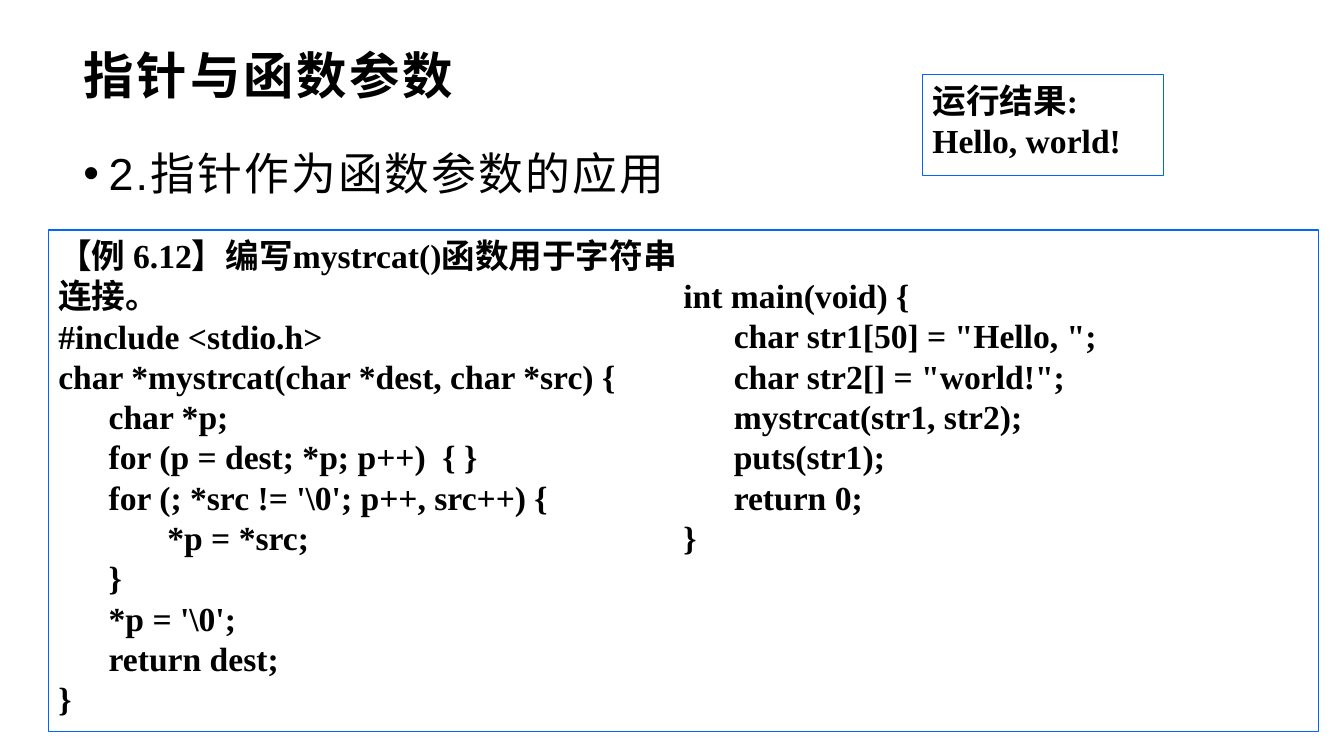
from lxml.etree import SubElement
from pptx import Presentation
from pptx.dml.color import RGBColor
from pptx.enum.shapes import MSO_SHAPE
from pptx.enum.text import MSO_ANCHOR, MSO_AUTO_SIZE, PP_ALIGN
from pptx.oxml.ns import qn
from pptx.util import Inches, Pt

TITLE = "指针与函数参数"
TOPIC = "2.指针作为函数参数的应用"
FUNCTION_CODE = [
    "【例 6.12】编写mystrcat()函数用于字符串连接。",
    "#include <stdio.h>",
    "char *mystrcat(char *dest, char *src) {",
    "      char *p;",
    "      for (p = dest; *p; p++)  { }",
    "      for (; *src != '\\0'; p++, src++) {",
    "             *p = *src;",
    "      }",
    "      *p = '\\0';",
    "      return dest;",
    "}",
]
MAIN_CODE = [
    "int main(void) {",
    '      char str1[50] = "Hello, ";',
    '      char str2[] = "world!";',
    "      mystrcat(str1, str2);",
    "      puts(str1);",
    "      return 0;",
    "}",
]
RESULT = ["运行结果:", "Hello, world!"]

COLORS = {"text": "000000", "frame": "0066FF"}
WIDTH, HEIGHT = 13.33, 7.5
MARGIN, CONTENT_WIDTH = 0.73, 11.87
INSET = 0.1
CODE_LEFT, CODE_TOP, CODE_WIDTH, CODE_HEIGHT = 0.48, 2.28, 12.6, 4.98
COLUMN = (CODE_WIDTH - 2 * INSET) / 2
LINE = 0.4


def style(para, font, size, bold, spacing=0):
    para.alignment = PP_ALIGN.LEFT
    for span in para.runs:
        span.font.name = font
        span.font.size = Pt(size)
        span.font.bold = bold
        span.font.color.rgb = RGBColor.from_string(COLORS["text"])
        if spacing:
            span.font._element.set("spc", str(int(spacing * 100)))


def prepare(box, anchor=MSO_ANCHOR.TOP):
    frame = box.text_frame
    frame.word_wrap = True
    frame.auto_size = MSO_AUTO_SIZE.NONE
    frame.vertical_anchor = anchor
    frame.margin_left = frame.margin_right = Inches(INSET)
    frame.margin_top = frame.margin_bottom = Inches(INSET / 2)
    return frame


def write_code(box, lines):
    frame = prepare(box)
    frame.text = "\n".join(lines)
    for para in frame.paragraphs:
        style(para, "Times New Roman", 24, True)
    return frame


def add_frame(page, left, top, width, height, lines):
    box = page.shapes.add_shape(
        MSO_SHAPE.RECTANGLE, Inches(left), Inches(top), Inches(width), Inches(height))
    box.shadow.inherit = False
    box.fill.background()
    box.line.color.rgb = RGBColor.from_string(COLORS["frame"])
    box.line.width = Pt(1)
    return write_code(box, lines)


def add_title(page):
    title = page.shapes.title
    title.left, title.top = Inches(MARGIN), Inches(0.44)
    title.width, title.height = Inches(CONTENT_WIDTH), Inches(0.6)
    frame = prepare(title, MSO_ANCHOR.MIDDLE)
    frame.text = TITLE
    style(frame.paragraphs[0], "Arial", 36, True, 2)


def add_topic(page):
    box = page.shapes.add_textbox(
        Inches(MARGIN), Inches(1.24), Inches(CONTENT_WIDTH), Inches(1))
    frame = prepare(box)
    frame.text = TOPIC
    para = frame.paragraphs[0]
    properties = para._p.get_or_add_pPr()
    properties.set("marL", str(Inches(0.25)))
    properties.set("indent", str(-Inches(0.25)))
    SubElement(properties, qn("a:buFont")).set("typeface", "Arial")
    SubElement(properties, qn("a:buChar")).set("char", "•")
    para.line_spacing = 1.3
    para.space_after = Pt(10)
    style(para, "Arial", 32, False, 1.5)


def main():
    deck = Presentation()
    deck.slide_width, deck.slide_height = Inches(WIDTH), Inches(HEIGHT)
    page = deck.slides.add_slide(deck.slide_layouts[5])
    add_title(page)
    add_topic(page)
    code = add_frame(page, CODE_LEFT, CODE_TOP, CODE_WIDTH, CODE_HEIGHT, FUNCTION_CODE)
    code.margin_right = Inches(COLUMN + INSET)
    main_box = page.shapes.add_textbox(
        Inches(CODE_LEFT + COLUMN), Inches(CODE_TOP + LINE),
        Inches(COLUMN + 2 * INSET), Inches(LINE * len(MAIN_CODE) + INSET))
    write_code(main_box, MAIN_CODE)
    add_frame(page, 9.15, 0.74, 2.39, 1, RESULT)
    deck.save("out.pptx")


if __name__ == "__main__":
    main()
